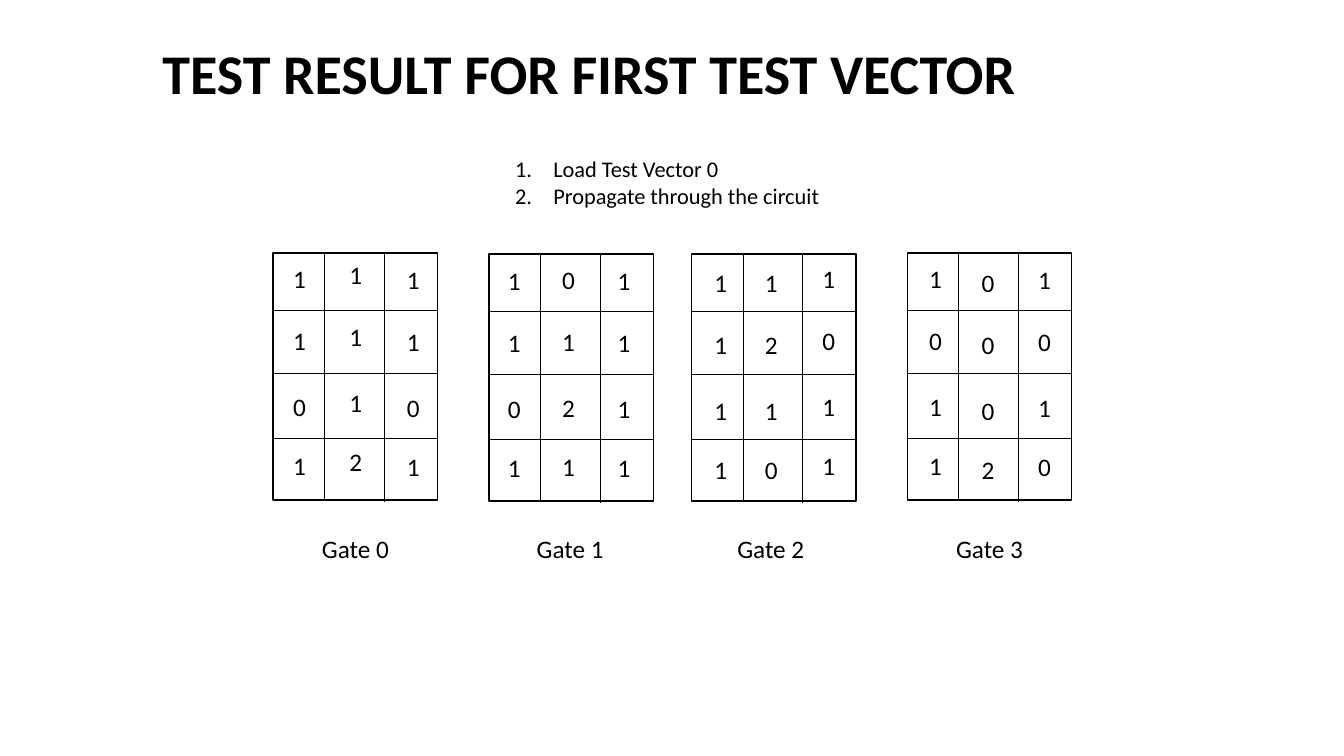
import pptx
import pptx.dml.color
import pptx.enum.shapes
import pptx.enum.text
import pptx.util
from lxml import etree
from pptx.oxml.ns import qn
from pptx.util import Inches

COLORS = {"ink": "000000", "paper": "FFFFFF"}
INK = pptx.dml.color.RGBColor.from_string(COLORS["ink"])
PAPER = pptx.dml.color.RGBColor.from_string(COLORS["paper"])

GRID_W, GRID_H = 1.63, 2.45
COLUMN_LINES = [(0.51, 2.45), (1.1, 2.47)]  # offset, length
ROW_LINES = [0.57, 1.19, 1.84]
DIGIT_ROWS = [0, 0.62, 1.27, 1.86]

# grid left, grid top, label left, columns of (left, top, digits)
GATES = [
    (2.71, 2.51, 3.09, [(2.8, 2.56, "1101"), (3.36, 2.52, "1112"), (3.93, 2.57, "1101")]),
    (4.85, 2.52, 5.22, [(4.93, 2.58, "1101"), (5.47, 2.57, "0121"), (6.02, 2.58, "1111")]),
    (6.86, 2.52, 7.21, [(6.98, 2.6, "1111"), (7.48, 2.6, "1210"), (8.05, 2.56, "1011")]),
    (9, 2.51, 9.38, [(9.11, 2.56, "1011"), (9.63, 2.6, "0002"), (10.19, 2.57, "1010")]),
]


def add_text(shapes, box, lines, size, bold=False, align="CENTER", wrap=True):
    tb = shapes.add_textbox(*[Inches(v) for v in box])
    tf = tb.text_frame
    tf.word_wrap = wrap
    tf.auto_size = pptx.enum.text.MSO_AUTO_SIZE.SHAPE_TO_FIT_TEXT
    tf.text = "\n".join(lines)
    for p in tf.paragraphs:
        p.alignment = pptx.enum.text.PP_ALIGN[align]
        p.font.name = "Calibri"
        p.font.size = pptx.util.Pt(size)
        p.font.bold = bold
        p.font.color.rgb = INK
    return tf


def add_rule(shapes, x1, y1, x2, y2):
    line = shapes.add_connector(pptx.enum.shapes.MSO_CONNECTOR.STRAIGHT,
                                Inches(x1), Inches(y1), Inches(x2), Inches(y2))
    line.line.color.rgb = INK
    line.line.width = pptx.util.Pt(0.5)
    etree.SubElement(line._element.spPr, qn("a:effectLst"))


prs = pptx.Presentation()
prs.slide_width, prs.slide_height = Inches(13.33), Inches(7.5)
s = prs.slides.add_slide(prs.slide_layouts[6])

add_text(s.shapes, (0.9, 0.33, 9.88, 0.77), ["TEST RESULT FOR FIRST TEST VECTOR"], 40, bold=True)

# Grids with their digits
for left, top, label_left, columns in GATES:
    grid = s.shapes.add_group_shape().shapes
    frame = grid.add_shape(pptx.enum.shapes.MSO_SHAPE.RECTANGLE,
                           Inches(left), Inches(top), Inches(GRID_W), Inches(GRID_H))
    frame.shadow.inherit = False
    frame.fill.solid()
    frame.fill.fore_color.rgb = PAPER
    frame.line.color.rgb = INK
    frame.line.width = pptx.util.Pt(1)
    for dx, length in COLUMN_LINES:
        add_rule(grid, left + dx, top, left + dx, top + length)
    for dy in ROW_LINES:
        add_rule(grid, left, top + dy, left + GRID_W, top + dy)
    for x, y, digits in columns:
        for digit, dy in zip(digits, DIGIT_ROWS):
            add_text(grid, (x, y + dy, 0.34, 0.42), [digit], 18)

# Numbered steps
steps = add_text(s.shapes, (5.01, 1.49, 3.31, 0.64),
                 ["Load Test Vector 0", "Propagate through the circuit"], 16, align="LEFT")
for p in steps.paragraphs:
    pPr = p._p.get_or_add_pPr()
    pPr.set("marL", str(Inches(0.38)))
    pPr.set("indent", str(-Inches(0.38)))
    number = etree.Element(qn("a:buAutoNum"), type="arabicPeriod")
    pPr.find(qn("a:defRPr")).addprevious(number)

# Gate labels
for i, (left, top, label_left, columns) in enumerate(GATES):
    add_text(s.shapes, (label_left, 5.24, 0.87, 0.4), [f"Gate {i}"], 18, wrap=False)

prs.save("out.pptx")
